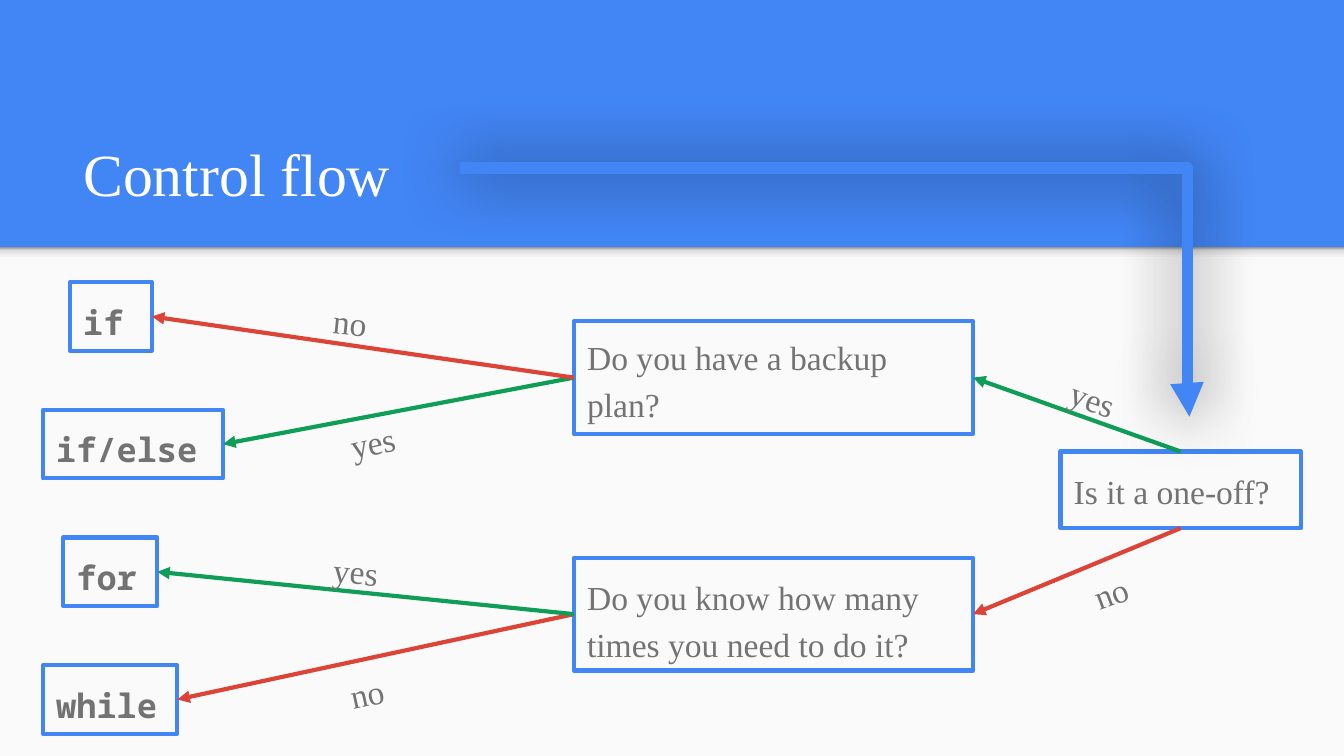
from lxml.etree import SubElement
from pptx import Presentation
from pptx.dml.color import RGBColor
from pptx.enum.shapes import MSO_CONNECTOR, MSO_SHAPE
from pptx.enum.text import MSO_ANCHOR, MSO_AUTO_SIZE, PP_ALIGN
from pptx.oxml.ns import qn
from pptx.util import Inches, Pt

WIDTH = 10
HEIGHT = WIDTH * 9 / 16
PANEL_TOP = 1.84
BLUE, GREEN, RED = "4285F4", "0F9D58", "DB4437"
GREY, WHITE, PANEL = "737373", "FFFFFF", "FAFAFA"
SERIF, MONO = "Times New Roman", "Noto Sans Mono"
TOP, LEFT, BOTTOM, RIGHT = range(4)

# Content: name -> text, place (left, top, width, height), font, anchor
BOXES = {
    "one_off": ("Is it a one-off?", (7.89, 3.36, 1.79, 0.57), SERIF, MSO_ANCHOR.TOP),
    "backup": ("Do you have a backup plan?", (4.27, 2.39, 2.97, 0.84), SERIF, MSO_ANCHOR.MIDDLE),
    "count": ("Do you know how many times you need to do it?", (4.27, 4.15, 2.97, 0.84),
              SERIF, MSO_ANCHOR.TOP),
}
# Outcomes share a height and are stacked at an equal step
OUTCOMES = [("if", 0.52, 0.61), ("if/else", 0.32, 1.34), ("for", 0.47, 0.7), ("while", 0.32, 1)]
FIRST_TOP, STEP, OUTCOME_HEIGHT = 2.1, 0.95, 0.51
for row, (word, left, width) in enumerate(OUTCOMES):
    place = (left, FIRST_TOP + row * STEP, width, OUTCOME_HEIGHT)
    BOXES[word] = (word, place, MONO, MSO_ANCHOR.TOP)

# Arrows: from box, side, to box, side, answer
ARROWS = [
    ("one_off", TOP, "backup", RIGHT, "yes"),
    ("one_off", BOTTOM, "count", RIGHT, "no"),
    ("backup", LEFT, "if/else", RIGHT, "yes"),
    ("backup", LEFT, "if", RIGHT, "no"),
    ("count", LEFT, "while", RIGHT, "no"),
    ("count", LEFT, "for", RIGHT, "yes"),
]
ANSWER_COLOURS = {"yes": GREEN, "no": RED}
# Answer labels: text, left, top, width, rotation
LABELS = [
    ("yes", 7.89, 2.69, 0.61, 19.9),
    ("no", 8.01, 4.09, 0.61, -20.3),
    ("no", 2.39, 2.11, 0.61, 5.7),
    ("yes", 2.49, 2.99, 0.59, -12.3),
    ("yes", 2.39, 3.96, 0.61, 5.7),
    ("no", 2.49, 4.86, 0.49, -12.3),
]
LABEL_HEIGHT = 0.44
EDGE_STOPS = [(0, "F9F9F9"), (36, "F9F9F9"), (80, "DEDEDE"), (100, "999999")]


def colour(code):
    return RGBColor.from_string(code)


def inches(*values):
    return [Inches(value) for value in values]


def write(shape, text, size=18, font=SERIF, code=GREY, anchor=MSO_ANCHOR.TOP,
          bold=False, spacing=1.15):
    frame = shape.text_frame
    frame.auto_size = MSO_AUTO_SIZE.NONE
    frame.word_wrap = True
    frame.vertical_anchor = anchor
    frame.margin_left = frame.margin_right = Inches(0.1)
    frame.margin_top = frame.margin_bottom = Inches(0.1)
    para = frame.paragraphs[0]
    para.alignment = PP_ALIGN.LEFT
    para.line_spacing = spacing
    span = para.add_run()
    span.text = text
    span.font.name, span.font.size, span.font.bold = font, Pt(size), bold
    span.font.color.rgb = colour(code)


def add_rectangle(page, place):
    shape = page.shapes.add_shape(MSO_SHAPE.RECTANGLE, *inches(*place))
    shape.shadow.inherit = False
    shape.line.fill.background()
    return shape


def add_arrow(page, kind, code, width, ends=(0, 0, 0, 0)):
    arrow = page.shapes.add_connector(kind, *inches(*ends))
    arrow.line.color.rgb = colour(code)
    arrow.line.width = Pt(width)
    SubElement(arrow.line._get_or_add_ln(), qn("a:tailEnd"), type="triangle")
    effects = SubElement(arrow._element.spPr, qn("a:effectLst"))
    return arrow, effects


deck = Presentation()
deck.slide_width, deck.slide_height = inches(WIDTH, HEIGHT)
page = deck.slides.add_slide(deck.slide_layouts[5])

# Blue header, pale panel and its shaded upper edge
page.background.fill.solid()
page.background.fill.fore_color.rgb = colour(BLUE)
panel = add_rectangle(page, (0, PANEL_TOP, WIDTH, HEIGHT - PANEL_TOP))
panel.fill.solid()
panel.fill.fore_color.rgb = colour(PANEL)
edge = add_rectangle(page, (0, PANEL_TOP, WIDTH, 0.12))
edge.fill.gradient()
edge.fill.gradient_angle = 90
stops = edge._element.spPr.find(".//" + qn("a:gsLst"))
for stop in list(stops):
    stops.remove(stop)
for position, code in EDGE_STOPS:
    stop = SubElement(stops, qn("a:gs"), pos=str(position * 1000))
    SubElement(stop, qn("a:srgbClr"), val=code)

# Title
title = page.shapes.title
title.left, title.top, title.width, title.height = inches(0.52, 0.81, 8.99, 0.84)
write(title, "Control flow", 32, code=WHITE, anchor=MSO_ANCHOR.BOTTOM, spacing=1)

# Question and outcome boxes
boxes = {}
for name, (text, place, font, anchor) in BOXES.items():
    box = boxes[name] = add_rectangle(page, place)
    box.fill.background()
    box.line.color.rgb = colour(BLUE)
    box.line.width = Pt(2.25)
    write(box, text, font=font, anchor=anchor, bold=font == MONO)

# Answer arrows and labels
for start, start_side, end, end_side, answer in ARROWS:
    arrow, _ = add_arrow(page, MSO_CONNECTOR.STRAIGHT, ANSWER_COLOURS[answer], 2.25)
    arrow.begin_connect(boxes[start], start_side)
    arrow.end_connect(boxes[end], end_side)
for text, left, top, width, rotation in LABELS:
    label = page.shapes.add_textbox(*inches(left, top, width, LABEL_HEIGHT))
    label.rotation = rotation
    write(label, text)

# Shadowed entry arrow, bending just before its end
entry, effects = add_arrow(page, MSO_CONNECTOR.ELBOW, BLUE, 6, (3.42, 1.25, 8.85, 3.1))
guides = entry._element.spPr.find(".//" + qn("a:avLst"))
SubElement(guides, qn("a:gd"), name="adj1", fmla="val 99700")
shadow = SubElement(effects, qn("a:outerShdw"), blurRad=str(Pt(33.8)), dist=str(Pt(0.8)),
                    dir="5400000", algn="bl", rotWithShape="0")
shade = SubElement(shadow, qn("a:srgbClr"), val="000000")
SubElement(shade, qn("a:alpha"), val="81000")

deck.save("out.pptx")
